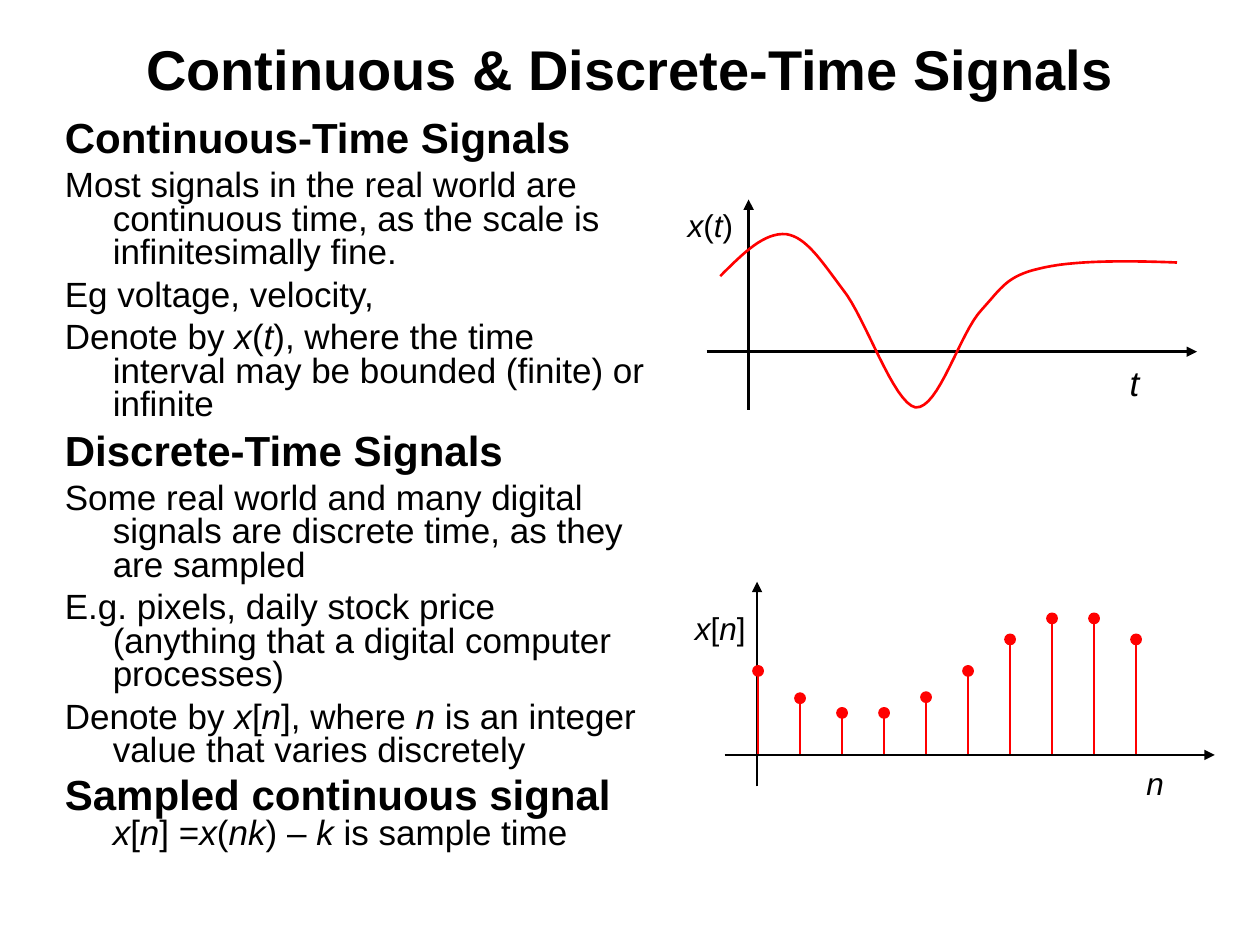
from dataclasses import dataclass

from lxml.etree import SubElement
from pptx import Presentation
from pptx.dml.color import RGBColor
from pptx.enum.shapes import MSO_CONNECTOR, MSO_SHAPE
from pptx.enum.text import MSO_ANCHOR, MSO_AUTO_SIZE, PP_ALIGN
from pptx.oxml.ns import qn
from pptx.util import Inches, Pt


@dataclass(frozen=True)
class Theme:
    """Colours, type sizes and line widths."""
    face: str = "Arial"
    ink: RGBColor = RGBColor(0, 0, 0)
    mark: RGBColor = RGBColor(255, 0, 0)
    title: int = 32
    head: int = 24
    body: int = 20
    label: int = 18
    line: float = 1.5
    edge: float = 0.75


COLS, ROWS = 120, 90
BODY = [
    [("head", "Continuous-Time Signals")],
    [("body", "Most signals in the real world are continuous time, "
              "as the scale is infinitesimally fine.")],
    [("body", "Eg voltage, velocity,")],
    [("body", "Denote by *x*(*t*), where the time interval may be "
              "bounded (finite) or infinite")],
    [("head", "Discrete-Time Signals")],
    [("body", "Some real world and many digital signals are discrete time, "
              "as they are sampled")],
    [("body", "E.g. pixels, daily stock price (anything that a digital "
              "computer processes)")],
    [("body", "Denote by *x*[*n*], where *n* is an integer value that "
              "varies discretely")],
    [("head", "Sampled continuous signal "),
     ("body", "*x*[*n*] =*x*(*nk*) – *k* is sample time")],
]
START = (68.6, 26.3)
WAVE = [
    ((70.8, 24.1), (72.8, 22.1), (74.9, 22.3)),
    ((76.8, 22.6), (78.2, 24.8), (80.3, 27.6)),
    ((82.4, 30.2), (85.1, 38.4), (87.2, 38.8)),
    ((89.4, 39), (91.4, 31.7), (93.5, 29.5)),
    ((95.4, 27.4), (95.9, 26.3), (98.9, 25.6)),
    ((102, 24.8), (107, 24.8), (112.1, 25)),
]
DOTS = [63.9, 66.5, 67.9, 67.9, 66.4, 63.9, 60.9, 58.9, 58.9, 60.9]


def assign(thing, form):
    """Set each format value on the thing."""
    for name, value in form.items():
        setattr(thing, name, value)


def bend(start, one, two, end, steps=16):
    """Return points along a cubic curve, after its start."""
    return [tuple((1 - t) ** 3 * a + 3 * (1 - t) ** 2 * t * b
                  + 3 * (1 - t) * t ** 2 * c + t ** 3 * d
                  for a, b, c, d in zip(start, one, two, end))
            for t in (step / steps for step in range(1, steps + 1))]


class Deck:
    """Holds the style, the current slide and the layer drawn on."""

    def __init__(self, theme):
        """Open a deck with one title-only slide."""
        self.theme = theme
        self.show = Presentation()
        assign(self.show, {"slide_width": Inches(10),
                           "slide_height": Inches(7.5)})
        self.slide = self.show.slides.add_slide(self.show.slide_layouts[5])
        self.layer = self.slide.shapes

    def spot(self, col, row):
        """Turn a grid place into slide lengths."""
        return (round(col * self.show.slide_width / COLS),
                round(row * self.show.slide_height / ROWS))

    def group(self):
        """Draw from here on in a new group."""
        self.layer = self.slide.shapes.add_group_shape().shapes

    def runs(self, para, text, size, bold=False):
        """Add runs, with starred parts in italics."""
        for turn, part in enumerate(text.split("*")):
            if part:
                run = para.add_run()
                run.text = part
                assign(run.font, {"name": self.theme.face, "size": Pt(size),
                                  "bold": bold, "italic": turn % 2 == 1})
                run.font.color.rgb = self.theme.ink

    def title(self, text, col, row, wide, high):
        """Place and fill the title."""
        shape = self.slide.shapes.title
        left, top = self.spot(col, row)
        width, height = self.spot(wide, high)
        assign(shape, {"left": left, "top": top,
                       "width": width, "height": height})
        assign(shape.text_frame, {"vertical_anchor": MSO_ANCHOR.MIDDLE,
                                  "word_wrap": True,
                                  "auto_size": MSO_AUTO_SIZE.NONE})
        para = shape.text_frame.paragraphs[0]
        para.alignment = PP_ALIGN.CENTER
        self.runs(para, text, self.theme.title, True)

    def box(self, col, row, wide, high, wrap):
        """Add an empty text box and return its frame."""
        shape = self.layer.add_textbox(*self.spot(col, row),
                                       *self.spot(wide, high))
        shape.text_frame.word_wrap = wrap
        return shape.text_frame

    def body(self, items, *place):
        """Add paragraphs with a hanging indent."""
        frame = self.box(*place, wrap=True)
        hang = Inches(0.38)
        for turn, item in enumerate(items):
            para = frame.add_paragraph() if turn else frame.paragraphs[0]
            props = para._p.get_or_add_pPr()
            props.set("marL", str(hang))
            props.set("indent", str(-hang))
            gap = 6 if len(item) == 1 and item[0][0] == "head" else 5
            assign(para, {"line_spacing": 0.8,
                          "space_before": Pt(gap if turn else 0)})
            for style, text in item:
                self.runs(para, text, getattr(self.theme, style),
                          style == "head")

    def label(self, text, size, *place):
        """Add a short label."""
        frame = self.box(*place, wrap=False)
        self.runs(frame.paragraphs[0], text, size)

    def line(self, start, end, color, arrow=False):
        """Add a straight line, with an arrowhead if asked."""
        link = self.layer.add_connector(
            MSO_CONNECTOR.STRAIGHT, *self.spot(*start), *self.spot(*end))
        link.line.color.rgb = color
        link.line.width = Pt(self.theme.line)
        if arrow:
            SubElement(link.line._get_or_add_ln(), qn("a:tailEnd"),
                       type="triangle")
        SubElement(link._element.spPr, qn("a:effectLst"))

    def axes(self, across, up):
        """Add a pair of arrows."""
        for start, end in (across, up):
            self.line(start, end, self.theme.ink, True)

    def curve(self, start, parts):
        """Add a smooth open outline."""
        points = [start]
        for part in parts:
            points += bend(points[-1], *part)
        build = self.layer.build_freeform(*self.spot(*start))
        build.add_line_segments([self.spot(*point) for point in points[1:]],
                                close=False)
        shape = build.convert_to_shape()
        shape.shadow.inherit = False
        shape.fill.background()
        shape.line.color.rgb = self.theme.mark
        shape.line.width = Pt(self.theme.line)

    def stem(self, col, row, base):
        """Add a sample: a line with a dot on top."""
        self.line((col, base), (col, row), self.theme.mark)
        dot = self.layer.add_shape(MSO_SHAPE.OVAL,
                                   *self.spot(col - 0.5, row - 0.5),
                                   *self.spot(1, 1))
        dot.shadow.inherit = False
        dot.fill.solid()
        dot.fill.fore_color.rgb = self.theme.mark
        dot.line.color.rgb = self.theme.mark
        dot.line.width = Pt(self.theme.edge)


def main():
    """Build and save the slide."""
    theme = Theme()
    deck = Deck(theme)
    deck.title("Continuous & Discrete-Time Signals", 9, 2, 102, 9)
    deck.body(BODY, 5, 11, 58, 75)
    deck.group()
    deck.axes(((67.3, 33.5), (114, 33.5)), ((71.3, 39), (71.3, 19)))
    deck.label("*x*(*t*)", theme.label, 64.3, 19, 7.1, 4.8)
    deck.curve(START, WAVE)
    deck.label("*t*", theme.body, 106.4, 33.8, 3.4, 5.3)
    deck.group()
    deck.axes(((69, 71.9), (115.7, 71.9)), ((72.1, 74.9), (72.1, 55.4)))
    deck.label("*x*[*n*]", theme.label, 65, 57.4, 8.2, 4.8)
    deck.label("*n*", theme.label, 108, 72.2, 3.5, 4.8)
    for turn, row in enumerate(DOTS):
        deck.stem(72.2 + 4 * turn, row, 71.8)
    deck.show.save("out.pptx")


if __name__ == "__main__":
    main()
